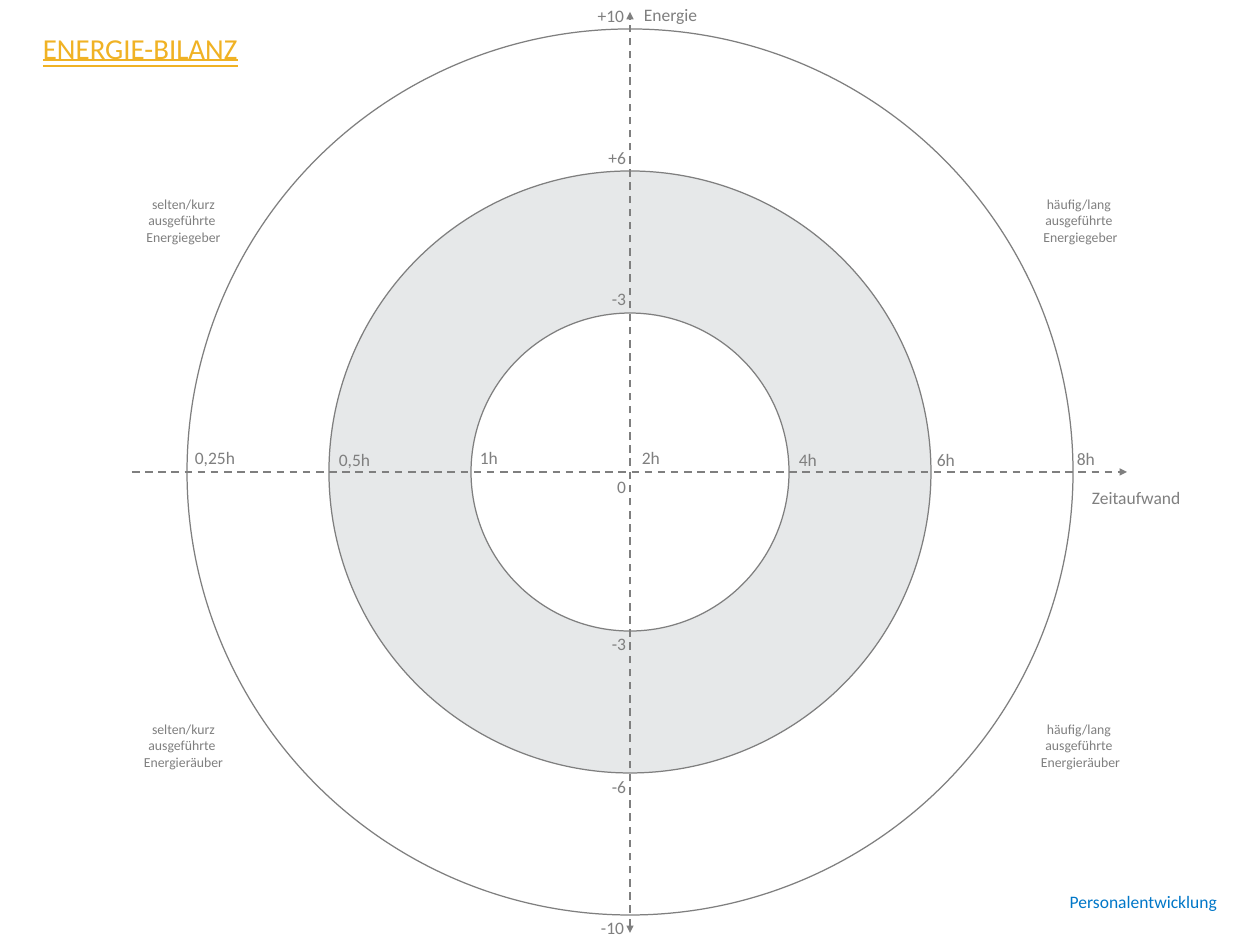
"""Build the energy balance slide: three rings, two axes and their labels."""
from typing import NamedTuple, Optional

from lxml.etree import SubElement
from pptx import Presentation
from pptx.dml.color import RGBColor
from pptx.enum.dml import MSO_LINE
from pptx.enum.shapes import MSO_CONNECTOR, MSO_SHAPE
from pptx.enum.text import MSO_ANCHOR, MSO_AUTO_SIZE, MSO_UNDERLINE, PP_ALIGN
from pptx.oxml.ns import qn
from pptx.util import Emu, Pt

PX = 10160
WIDTH, HEIGHT = 1260, 945
CENTER_X, CENTER_Y = 630, 472
GREY = RGBColor(0x7F, 0x7F, 0x7F)
BAND = RGBColor(0xE6, 0xE8, 0xE9)
WHITE = RGBColor(0xFF, 0xFF, 0xFF)
GOLD = RGBColor(0xF0, 0xB2, 0x24)
BLUE = RGBColor(0x00, 0x77, 0xC8)
LEFT, MIDDLE, RIGHT = PP_ALIGN.LEFT, PP_ALIGN.CENTER, PP_ALIGN.RIGHT


class Ring(NamedTuple):
    radius: int
    fill: Optional[RGBColor]


class Axis(NamedTuple):
    start: tuple[int, int]
    end: tuple[int, int]
    arrows: tuple[str, ...]


class Label(NamedTuple):
    text: str
    left: int
    top: int
    width: int
    height: int = 31
    align: PP_ALIGN = LEFT
    size: float = 14
    color: RGBColor = GREY
    wrap: bool = False
    anchor: MSO_ANCHOR = MSO_ANCHOR.TOP
    underline: Optional[MSO_UNDERLINE] = None
    spacing: Optional[float] = None


RINGS = [Ring(301, BAND), Ring(443, None), Ring(159, WHITE)]
AXES = [
    Axis((132, CENTER_Y), (1127, CENTER_Y), ("tailEnd",)),
    Axis((CENTER_X, 933), (CENTER_X, 12), ("headEnd", "tailEnd")),
]
HEADINGS = [
    Label("ENERGIE-BILANZ", 34, 30, 1013, 61, size=23.1, color=GOLD, wrap=True,
          underline=MSO_UNDERLINE.DOUBLE_LINE, spacing=0.9),
    Label("Personalentwicklung", 942, 876, 284, 50, RIGHT, color=BLUE, wrap=True,
          anchor=MSO_ANCHOR.MIDDLE),
    Label("Zeitaufwand", 1083, 483, 123),
    Label("Energie", 635, 0, 82),
]
QUADRANTS = [
    Label(f"{frequency}\vausgeführte \v{kind}", center - width // 2, top, width, 59,
          MIDDLE, 11)
    for kind, top, width in (("Energiegeber", 191, 107), ("Energieräuber", 716, 111))
    for frequency, center in (("selten/kurz", 183), ("häufig/lang ", 1080))
]
ENERGY_TICKS = [
    Label(text, right - width, top, width, align=RIGHT)
    for text, right, top, width in (
        ("+10", 633, 1, 45), ("+6", 635, 143, 36), ("-3", 635, 284, 32),
        ("0", 635, 472, 27), ("-3", 635, 629, 32), ("-6", 635, 772, 32),
        ("-10", 633, 913, 41))
]
TIME_TICKS = [
    Label(text, left, top, width)
    for text, left, top, width in (
        ("0,25h", 186, 443, 59), ("0,5h", 330, 445, 50), ("1h", 471, 443, 37),
        ("2h", 633, 443, 37), ("4h", 790, 445, 37), ("6h", 928, 445, 37),
        ("8h", 1068, 444, 37))
]


def px(*lengths: int) -> list[Emu]:
    """Turn px lengths into EMU."""
    return [Emu(length * PX) for length in lengths]


def apply(target: object, formats: dict) -> None:
    """Set every attribute in formats on target."""
    for name, value in formats.items():
        setattr(target, name, value)


def draw_ring(shapes, ring: Ring) -> None:
    """Draw a circle around the centre of the axes."""
    diameter = 2 * ring.radius
    circle = shapes.add_shape(
        MSO_SHAPE.OVAL,
        *px(CENTER_X - ring.radius, CENTER_Y - ring.radius, diameter, diameter))
    circle.shadow.inherit = False
    if ring.fill is None:
        circle.fill.background()
    else:
        circle.fill.solid()
        circle.fill.fore_color.rgb = ring.fill
    circle.line.color.rgb = GREY
    circle.line.width = Pt(1)


def draw_axis(shapes, axis: Axis) -> None:
    """Draw a dashed axis with its arrowheads."""
    connector = shapes.add_connector(MSO_CONNECTOR.STRAIGHT, *px(*axis.start, *axis.end))
    connector.line.color.rgb = GREY
    apply(connector.line, {"width": Pt(1.5), "dash_style": MSO_LINE.DASH})
    outline = connector.line._get_or_add_ln()
    for arrow in axis.arrows:
        SubElement(outline, qn(f"a:{arrow}"), type="triangle")
    SubElement(connector._element.spPr, qn("a:effectLst"))


def draw_label(shapes, label: Label) -> None:
    """Draw a text box with one formatted paragraph."""
    box = shapes.add_textbox(*px(label.left, label.top, label.width, label.height))
    frame = box.text_frame
    fit = MSO_AUTO_SIZE.NONE if label.wrap else MSO_AUTO_SIZE.SHAPE_TO_FIT_TEXT
    apply(frame, {"word_wrap": label.wrap, "auto_size": fit,
                  "vertical_anchor": label.anchor, "text": label.text})
    paragraph = frame.paragraphs[0]
    apply(paragraph, {"alignment": label.align, "line_spacing": label.spacing})
    for run in paragraph.runs:
        apply(run.font, {"name": "Calibri", "size": Pt(label.size),
                         "underline": label.underline})
        run.font.color.rgb = label.color


def main() -> None:
    """Build and save the slide."""
    deck = Presentation()
    deck.slide_width, deck.slide_height = px(WIDTH, HEIGHT)
    shapes = deck.slides.add_slide(deck.slide_layouts[6]).shapes
    for ring in RINGS:
        draw_ring(shapes, ring)
    for axis in AXES:
        draw_axis(shapes, axis)
    for label in HEADINGS + QUADRANTS + ENERGY_TICKS + TIME_TICKS:
        draw_label(shapes, label)
    deck.save("out.pptx")


if __name__ == "__main__":
    main()
